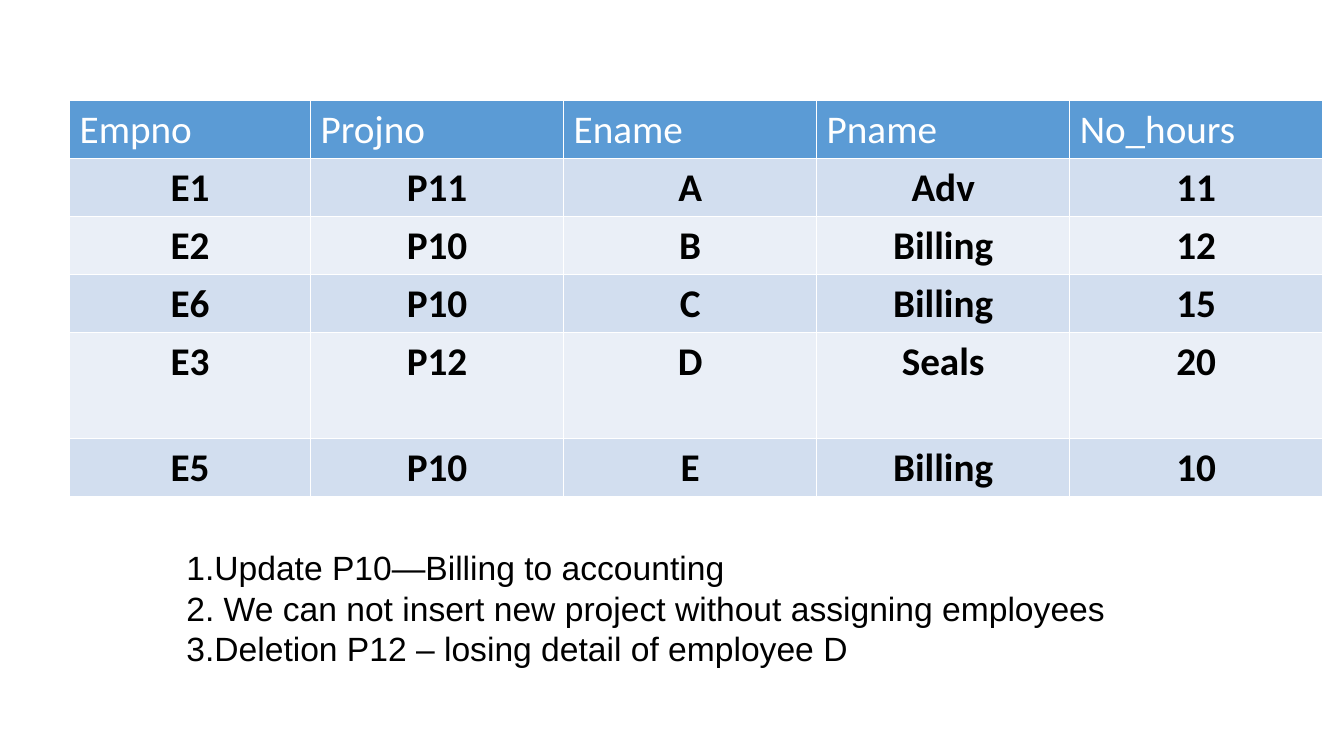
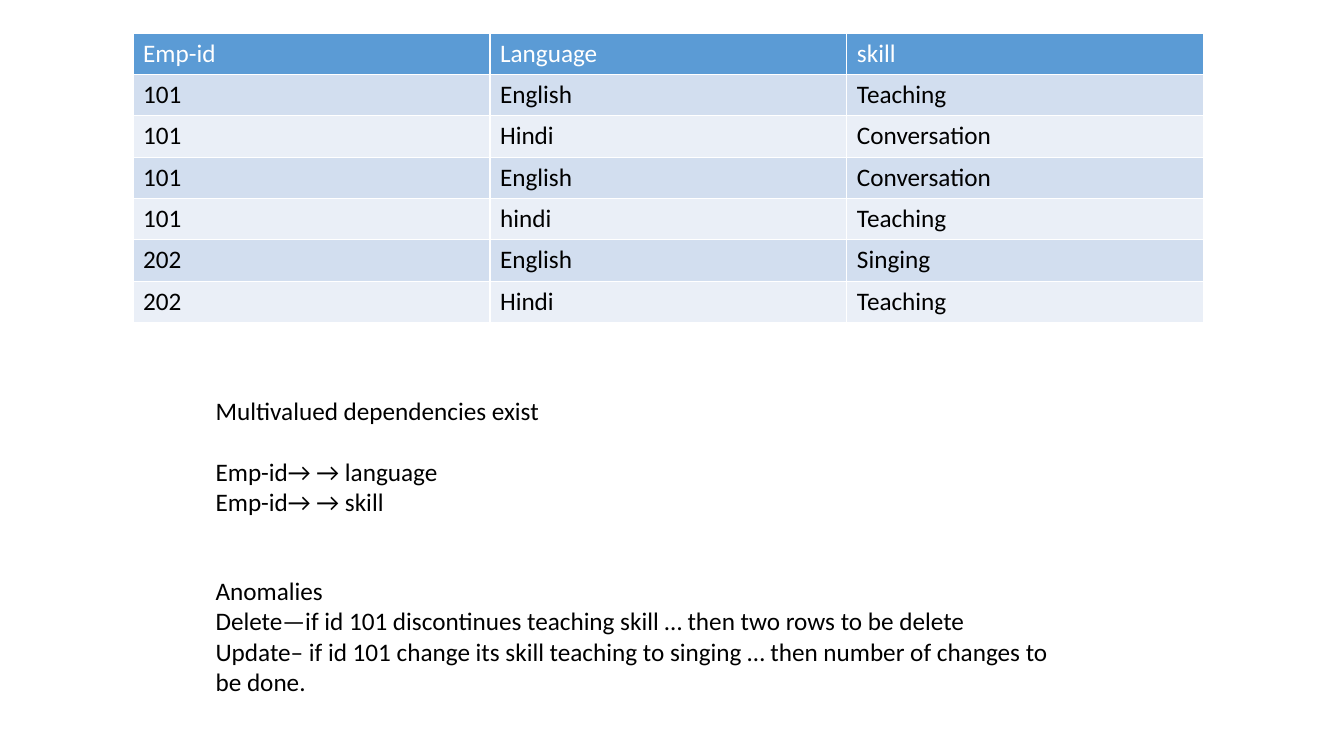
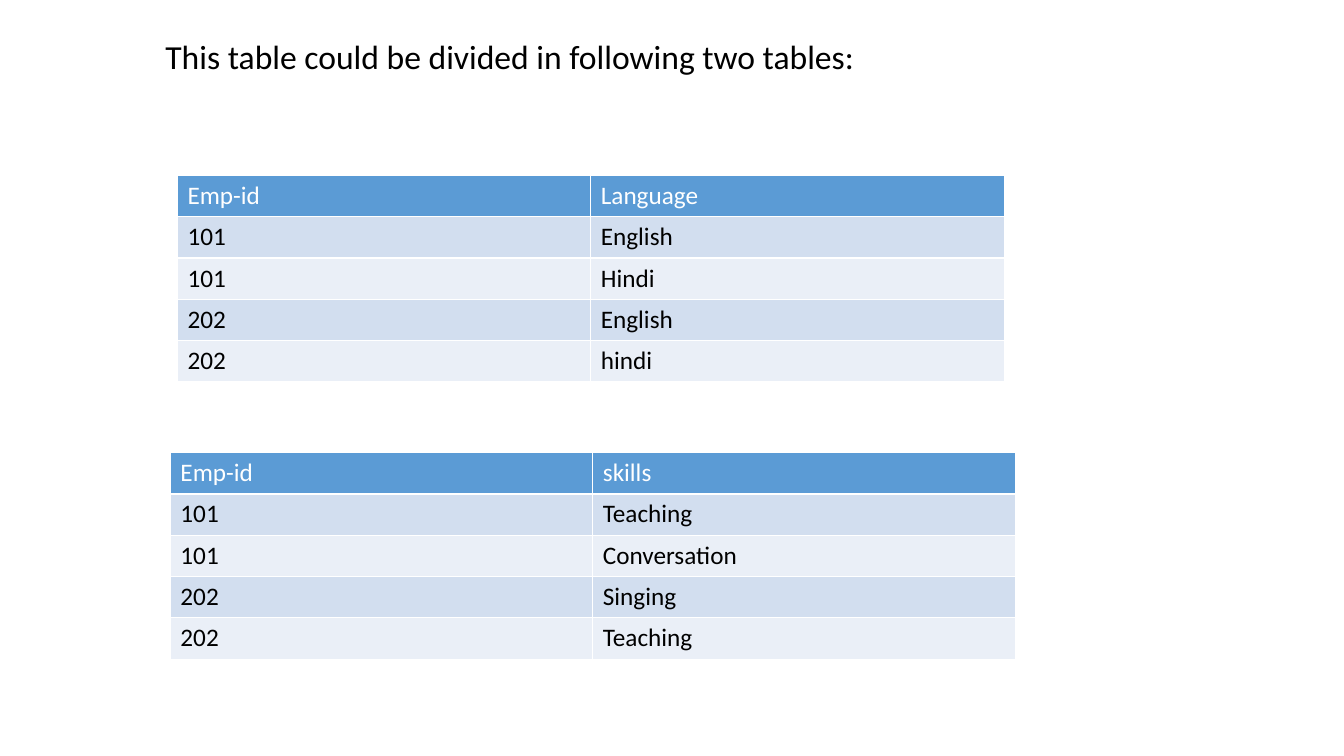
"""Build three slides on table anomalies and multivalued dependencies."""
from dataclasses import dataclass

from pptx import Presentation
from pptx import util as u
from pptx.dml.color import RGBColor
from pptx.enum import text


@dataclass(frozen=True)
class Theme:
    """Colours, fonts and type sizes shared by the slides."""
    header: RGBColor = RGBColor(0x5B, 0x9B, 0xD5)
    bands: tuple[RGBColor, RGBColor] = (RGBColor(0xD2, 0xDE, 0xEF), RGBColor(0xEA, 0xEF, 0xF7))
    ink: RGBColor = RGBColor(0, 0, 0)
    paper: RGBColor = RGBColor(0xFF, 0xFF, 0xFF)
    font: str = "Calibri"
    list_font: str = "Arial"
    body: int = 18
    heading: int = 24
    large: int = 28


THEME = Theme()
TITLE_ONLY, BLANK = 5, 6


@dataclass(frozen=True)
class Grid:
    """A banded table whose first row is the header."""
    left: float
    top: float
    widths: tuple[float, ...]
    heights: tuple[float, ...]
    rows: tuple[tuple[str, ...], ...]
    size: int = THEME.body
    emphasis: bool = False


@dataclass(frozen=True)
class Note:
    """A text box of line groups set apart by one line."""
    left: float
    top: float
    width: float
    height: float
    groups: tuple[tuple[str, ...], ...]
    font: str = THEME.font
    size: int = THEME.body


@dataclass(frozen=True)
class Page:
    """The contents of one slide."""
    grids: tuple[Grid, ...]
    notes: tuple[Note, ...] = ()
    title: str = ""


PAGES = (
    Page(
        grids=(Grid(0.69, 1, (2.39,) + (2.51,) * 4, (0.57,) * 4 + (1.05, 0.57), (
            ("Empno", "Projno", "Ename", "Pname", "No_hours"),
            ("E1", "P11", "A", "Adv", "11"),
            ("E2", "P10", "B", "Billing", "12"),
            ("E6", "P10", "C", "Billing", "15"),
            ("E3", "P12", "D", "Seals", "20"),
            ("E5", "P10", "E", "Billing", "10"),
        ), THEME.large, emphasis=True),),
        notes=(Note(1.75, 5.38, 10.28, 1.31, ((
            "1.Update P10—Billing to accounting",
            "2. We can not insert new project without assigning employees",
            "3.Deletion P12 – losing detail of employee D",
        ),), THEME.list_font, THEME.heading),),
    ),
    Page(
        grids=(Grid(1.32, 0.33, (3.54,) * 3, (0.41,) * 7, (
            ("Emp-id", "Language", "skill"),
            ("101", "English", "Teaching"),
            ("101", "Hindi", "Conversation"),
            ("101", "English", "Conversation"),
            ("101", "hindi", "Teaching"),
            ("202", "English", "Singing"),
            ("202", "Hindi", "Teaching"),
        )),),
        notes=(
            Note(2.04, 3.87, 7.42, 1.31, (
                ("Multivalued dependencies exist",),
                ("Emp-id→ → language", "Emp-id→ → skill"),
            )),
            Note(2.04, 5.66, 8.67, 1.31, ((
                "Anomalies",
                "Delete—if id 101 discontinues teaching skill … then two rows to be delete",
                "Update– if id 101 change its skill teaching to singing … then number of changes to be done.",
            ),)),
        ),
    ),
    Page(
        grids=(
            Grid(1.76, 1.74, (4.1,) * 2, (0.41,) * 5, (
                ("Emp-id", "Language"),
                ("101", "English"),
                ("101", "Hindi"),
                ("202", "English"),
                ("202", "hindi"),
            )),
            Grid(1.69, 4.49, (4.19,) * 2, (0.41,) * 5, (
                ("Emp-id", "skills"),
                ("101", "Teaching"),
                ("101", "Conversation"),
                ("202", "Singing"),
                ("202", "Teaching"),
            )),
        ),
        title="This table could be divided in following two tables:",
    ),
)


def style(p, size: int, color: RGBColor, font: str = THEME.font, bold: bool = False) -> None:
    """Set the font of a paragraph."""
    p.font.name = font
    p.font.size = u.Pt(size)
    p.font.color.rgb = color
    p.font.bold = bold


def add_grid(slide, grid: Grid) -> None:
    """Draw a banded table."""
    box = map(u.Inches, (grid.left, grid.top, sum(grid.widths), sum(grid.heights)))
    table = slide.shapes.add_table(len(grid.heights), len(grid.widths), *box).table
    for column, width in zip(table.columns, grid.widths):
        column.width = u.Inches(width)
    for i, (row, height, values) in enumerate(zip(table.rows, grid.heights, grid.rows)):
        row.height = u.Inches(height)
        is_header = i == 0
        for cell, value in zip(row.cells, values):
            cell.text = value
            cell.fill.solid()
            cell.fill.fore_color.rgb = THEME.header if is_header else THEME.bands[(i - 1) % 2]
            p = cell.text_frame.paragraphs[0]
            emphasis = grid.emphasis and not is_header
            style(p, grid.size, THEME.paper if is_header else THEME.ink, bold=emphasis)
            if emphasis:
                p.alignment = text.PP_ALIGN.CENTER


def add_note(slide, note: Note) -> None:
    """Draw a text box with its groups of lines."""
    box = map(u.Inches, (note.left, note.top, note.width, note.height))
    tf = slide.shapes.add_textbox(*box).text_frame
    tf.word_wrap = True
    tf.text = "\n".join(line for group in note.groups for line in group)
    for p in tf.paragraphs:
        style(p, note.size, THEME.ink, note.font)
    start = 0
    for group in note.groups[:-1]:
        start += len(group)
        tf.paragraphs[start].space_before = u.Pt(note.size * 1.22)


def set_title(slide, title: str) -> None:
    """Place and format the slide title."""
    sp = slide.shapes.title
    sp.left, sp.top, sp.width, sp.height = map(u.Inches, (1.54, 0.31, 8.11, 0.5))
    tf = sp.text_frame
    tf.text = title
    tf.auto_size = text.MSO_AUTO_SIZE.NONE
    tf.vertical_anchor = text.MSO_ANCHOR.TOP
    p = tf.paragraphs[0]
    p.alignment = text.PP_ALIGN.LEFT
    style(p, THEME.heading, THEME.ink)


def main() -> None:
    """Build and save the presentation."""
    prs = Presentation()
    prs.slide_width, prs.slide_height = u.Inches(13.33), u.Inches(7.5)
    for page in PAGES:
        layout = prs.slide_layouts[TITLE_ONLY if page.title else BLANK]
        slide = prs.slides.add_slide(layout)
        if page.title:
            set_title(slide, page.title)
        for grid in page.grids:
            add_grid(slide, grid)
        for note in page.notes:
            add_note(slide, note)
    prs.save("out.pptx")


if __name__ == "__main__":
    main()
